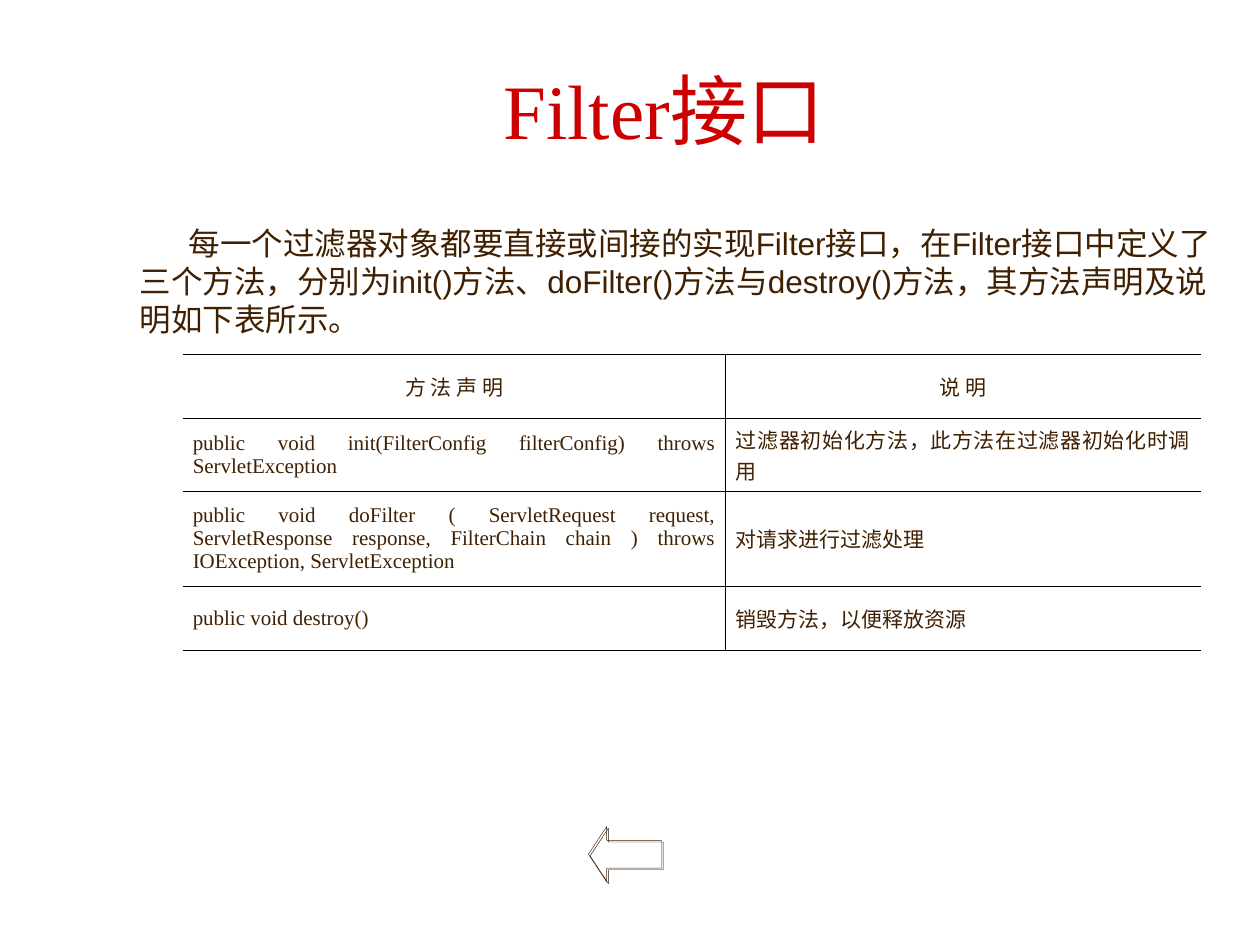
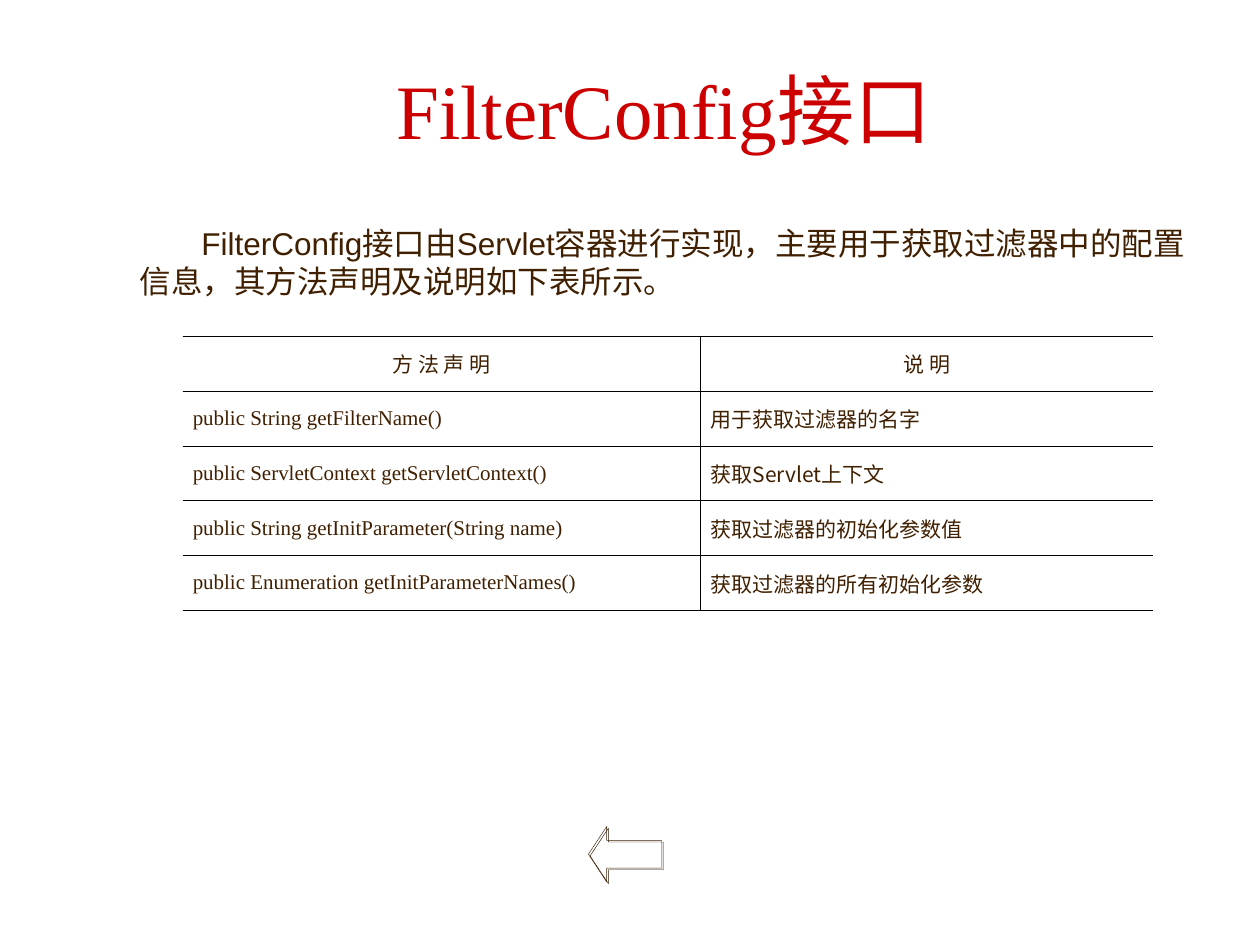
"""Build two slides on the servlet filter interfaces."""
from dataclasses import dataclass

from lxml.etree import SubElement
from pptx import Presentation
from pptx.dml.color import RGBColor
from pptx.enum.shapes import MSO_SHAPE
from pptx.enum.text import MSO_ANCHOR, PP_ALIGN
from pptx.oxml.ns import qn
from pptx.slide import Slide
from pptx.table import _Cell
from pptx.text.text import TextFrame
from pptx.util import Inches, Length, Pt

HUES = {"title": "CC0000", "text": "402000", "rule": "000000", "shade": "261300"}
SERIF, SANS, HAN = "Times New Roman", "Arial", "Noto Sans CJK SC"
COLS, ROWS = 100, 75
WIDE, HIGH = Inches(10), Inches(7.5)
HEAD = ("方 法 声 明", "说 明")


@dataclass(frozen=True)
class Box:
    """A place on the slide, in grid columns and rows."""
    left: float
    top: float
    wide: float
    high: float

    def place(self) -> tuple[Length, ...]:
        """Return left, top, width and height as lengths."""
        return across(self.left), down(self.top), across(self.wide), down(self.high)


@dataclass(frozen=True)
class Grid:
    """A table with its top left corner, columns, rows and entries."""
    left: float
    top: float
    cols: tuple[float, ...]
    rows: tuple[float, ...]
    items: tuple[tuple[str, str], ...]


@dataclass(frozen=True)
class Page:
    """The content of one slide."""
    title: str
    intro: str
    indent: float
    high: float
    grid: Grid


TITLE = Box(10.1, 3.1, 85.2, 11.1)
ARROW = Box(46.7, 65.6, 5.8, 4.4)

PAGES = (
    Page(
        "Filter接口",
        "每一个过滤器对象都要直接或间接的实现Filter接口，在Filter接口中定义了三个方法，"
        "分别为init()方法、doFilter()方法与destroy()方法，其方法声明及说明如下表所示。",
        3.9, 10,
        Grid(14.5, 28.1, (43.1, 37.7), (5.1, 5.8, 7.5, 5.1), (
            ("public void init(FilterConfig filterConfig) throws ServletException",
             "过滤器初始化方法，此方法在过滤器初始化时调用"),
            ("public void doFilter ( ServletRequest request, ServletResponse response, "
             "FilterChain chain ) throws IOException, ServletException",
             "对请求进行过滤处理"),
            ("public void destroy()", "销毁方法，以便释放资源"),
        )),
    ),
    Page(
        "FilterConfig接口",
        "FilterConfig接口由Servlet容器进行实现，主要用于获取过滤器中的配置信息，"
        "其方法声明及说明如下表所示。",
        4.9, 7,
        Grid(14.5, 26.7, (41.1, 35.9), (4.35,) * 5, (
            ("public String getFilterName()", "用于获取过滤器的名字"),
            ("public ServletContext getServletContext()", "获取Servlet上下文"),
            ("public String getInitParameter(String name)", "获取过滤器的初始化参数值"),
            ("public Enumeration getInitParameterNames()", "获取过滤器的所有初始化参数"),
        )),
    ),
)


def across(cols: float) -> Length:
    """Turn grid columns into a length."""
    return Length(round(WIDE * cols / COLS))


def down(rows: float) -> Length:
    """Turn grid rows into a length."""
    return Length(round(HIGH * rows / ROWS))


def write(frame: TextFrame, text: str, *, size: float, font: str = SERIF,
          hue: str = "text", align: PP_ALIGN = PP_ALIGN.LEFT,
          indent: float = 0, pitch: float = 0, after: float = 0) -> None:
    """Put one formatted paragraph into a text frame."""
    frame.word_wrap = True
    line = frame.paragraphs[0]
    line.alignment = align
    line.space_after = Pt(after)
    if pitch:
        line.line_spacing = Pt(pitch)
    if indent:
        line._p.get_or_add_pPr().set("indent", str(across(indent)))
    run = line.add_run()
    run.text = text
    run.font.size = Pt(size)
    run.font.name = font
    run.font.color.rgb = RGBColor.from_string(HUES[hue])
    SubElement(run._r.get_or_add_rPr(), qn("a:ea"), typeface=HAN)


def edge(cell: _Cell, sides: str) -> None:
    """Rule the named sides of a cell and clear the others."""
    props = cell._tc.get_or_add_tcPr()
    for side in "LRTB":
        line = SubElement(props, qn(f"a:ln{side}"), w=str(Pt(0.45)))
        if side in sides:
            fill = SubElement(line, qn("a:solidFill"))
            SubElement(fill, qn("a:srgbClr"), val=HUES["rule"])
        else:
            SubElement(line, qn("a:noFill"))
    cell.fill.background()


def add_grid(slide: Slide, grid: Grid) -> None:
    """Draw the table of methods."""
    box = Box(grid.left, grid.top, sum(grid.cols), sum(grid.rows))
    table = slide.shapes.add_table(len(grid.rows), len(grid.cols), *box.place()).table
    table.first_row = table.horz_banding = False
    for col, wide in zip(table.columns, grid.cols):
        col.width = across(wide)
    for row, high in zip(table.rows, grid.rows):
        row.height = down(high)
    for y, pair in enumerate((HEAD, *grid.items)):
        for x, text in enumerate(pair):
            cell = table.cell(y, x)
            cell.vertical_anchor = MSO_ANCHOR.MIDDLE
            cell.margin_left = cell.margin_right = Inches(0.08)
            edge(cell, "LTB" if x else "RTB")
            write(cell.text_frame, text, size=12, after=1.2,
                  font=HAN if x and y else SERIF,
                  align=PP_ALIGN.JUSTIFY if y else PP_ALIGN.CENTER)


def add_arrow(slide: Slide) -> None:
    """Draw the hollow back arrow with its hard shadow."""
    arrow = slide.shapes.add_shape(MSO_SHAPE.LEFT_ARROW, *ARROW.place())
    arrow.adjustments[0], arrow.adjustments[1] = 0.5, 0.33
    arrow.fill.background()
    arrow.line.color.rgb = RGBColor.from_string(HUES["text"])
    arrow.line.width = Pt(0.25)
    arrow.shadow.inherit = False
    glow = SubElement(arrow._element.spPr.find(qn("a:effectLst")), qn("a:outerShdw"),
                      dist=str(Pt(1.4)), dir=str(45 * 60000), algn="ctr", rotWithShape="0")
    SubElement(glow, qn("a:srgbClr"), val=HUES["shade"])


def add_page(deck: Presentation, page: Page) -> None:
    """Add one slide with title, intro, table and arrow."""
    slide = deck.slides.add_slide(deck.slide_layouts[5])
    title = slide.shapes.title
    title.left, title.top, title.width, title.height = TITLE.place()
    title.text_frame.vertical_anchor = MSO_ANCHOR.MIDDLE
    write(title.text_frame, page.title, size=44, hue="title", align=PP_ALIGN.CENTER)
    intro = slide.shapes.add_textbox(*Box(10.1, 17.3, 87.2, page.high).place())
    write(intro.text_frame, page.intro, size=18, font=SANS,
          indent=page.indent, pitch=21.6)
    add_arrow(slide)
    add_grid(slide, page.grid)


def main() -> None:
    """Build and save the deck."""
    deck = Presentation()
    deck.slide_width, deck.slide_height = WIDE, HIGH
    for page in PAGES:
        add_page(deck, page)
    deck.save("out.pptx")


if __name__ == "__main__":
    main()
